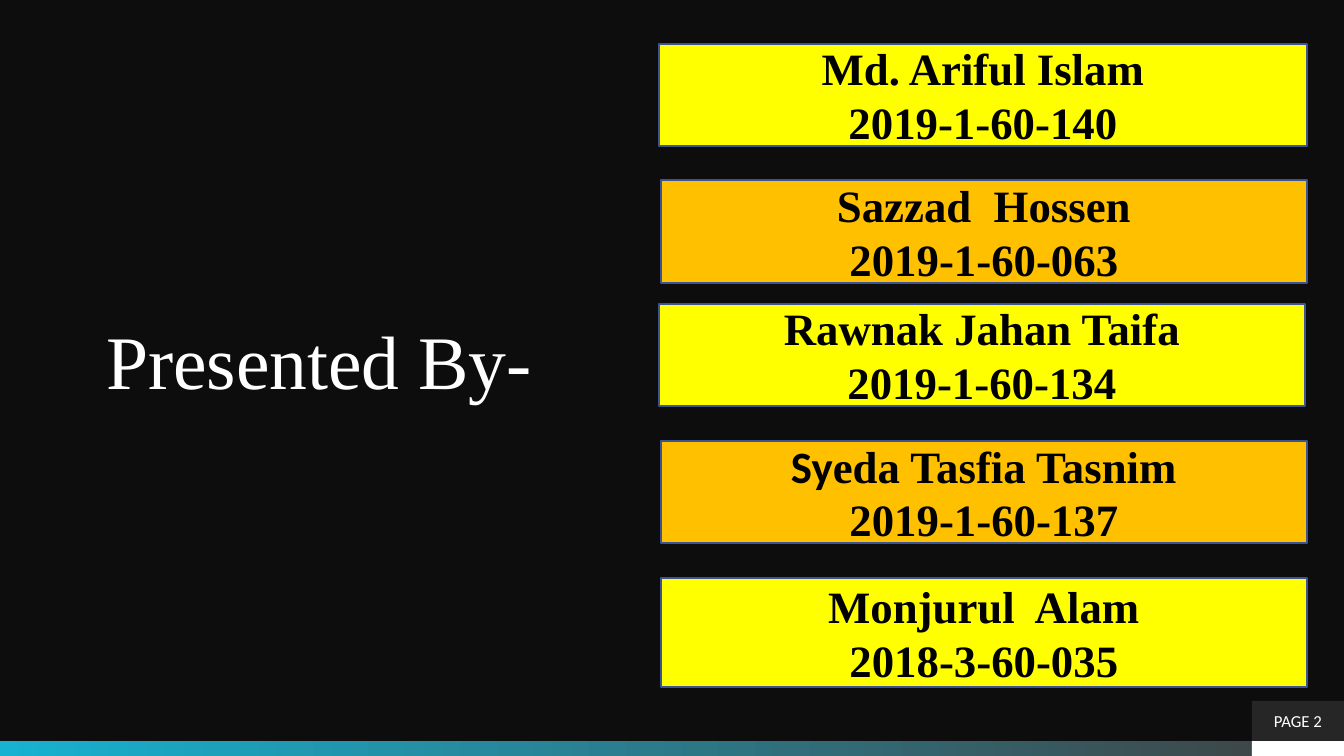
import pptx
import pptx.util
import pptx.dml.color
import pptx.enum.shapes
import pptx.enum.text

PX = 914400 / 100.8
SERIF, SANS = "Times New Roman", "Calibri"
HUES = {
    "back": "0D0D0D", "cyan": "17B2D1", "gray": "404040", "dark": "262626",
    "white": "FFFFFF", "black": "000000", "edge": "3D5392",
    "yellow": "FFFF00", "orange": "FFC000",
}
ALIGN = pptx.enum.text.PP_ALIGN
ANCHOR = pptx.enum.text.MSO_ANCHOR


def emu(px):
    return pptx.util.Emu(round(px * PX))


def hue(name):
    return pptx.dml.color.RGBColor.from_string(HUES[name])


class Deck:
    """Holds the presentation, its style and the current slide."""

    def __init__(self):
        self.prs = pptx.Presentation()
        self.prs.slide_width, self.prs.slide_height = emu(1344), emu(756)
        self.slide = self.prs.slides.add_slide(self.prs.slide_layouts[5])
        fill = self.slide.background.fill
        fill.solid()
        fill.fore_color.rgb = hue("back")

    def put_text(self, frame, lines, size, color, align, bold=False):
        """Fill a frame; each line is a list of (text, font) pairs."""
        frame.word_wrap = True
        frame.text = "\n".join(line[0][0] for line in lines)
        for para, line in zip(frame.paragraphs, lines):
            para.alignment = align
            for text, _ in line[1:]:
                para.add_run().text = text
            for run, (_, face) in zip(para.runs, line):
                run.font.name, run.font.bold = face, bold
                run.font.size = pptx.util.Pt(size)
                run.font.color.rgb = hue(color)

    def rect(self, box, color, edge=None):
        kind = pptx.enum.shapes.MSO_SHAPE.RECTANGLE
        shape = self.slide.shapes.add_shape(kind, *map(emu, box))
        shape.shadow.inherit = False
        shape.fill.solid()
        shape.fill.fore_color.rgb = hue(color)
        if edge:
            shape.line.color.rgb = hue(edge)
            shape.line.width = pptx.util.Pt(1)
        else:
            shape.line.fill.background()
        return shape

    def fade(self, box, start, end):
        """Add a bar whose colour runs from left to right."""
        fill = self.rect(box, start).fill
        fill.gradient()
        fill.gradient_angle = 0
        for stop, color, place in zip(fill.gradient_stops, (start, end), (0, 1)):
            stop.color.rgb = hue(color)
            stop.position = place

    def label(self, box, color, lines, size, ink, edge=None, bold=False):
        frame = self.rect(box, color, edge).text_frame
        frame.vertical_anchor = ANCHOR.MIDDLE
        self.put_text(frame, lines, size, ink, ALIGN.CENTER, bold)

    def title(self, box, text):
        shape = self.slide.shapes.title
        shape.left, shape.top, shape.width, shape.height = map(emu, box)
        frame = shape.text_frame
        frame.auto_size = pptx.enum.text.MSO_AUTO_SIZE.NONE
        frame.vertical_anchor = ANCHOR.TOP
        self.put_text(frame, [[(text, SERIF)]], 54, "white", ALIGN.LEFT)
        para = frame.paragraphs[0]
        para.line_spacing = 1.07
        para.space_after = pptx.util.Pt(8)


def main():
    deck = Deck()
    deck.fade((0, 741, 1344, 15), "cyan", "gray")
    deck.rect((1252, 741, 92, 15), "white")
    deck.label((1252, 701, 92, 40), "dark", [[("PAGE 2", SANS)]], 12, "white")

    people = [
        ((659, 44, 648, 102), [("Md. Ariful Islam", SERIF)], "2019-1-60-140"),
        ((661, 180, 646, 103), [("Sazzad  Hossen", SERIF)], "2019-1-60-063"),
        ((659, 304, 646, 102), [("Rawnak Jahan Taifa", SERIF)], "2019-1-60-134"),
        ((661, 441, 646, 102), [("Sy", SANS), ("eda Tasfia Tasnim", SERIF)],
         "2019-1-60-137"),
        ((661, 578, 646, 109), [("Monjurul  Alam", SERIF)], "2018-3-60-035"),
    ]
    for i, (box, name, code) in enumerate(people):
        color = ("yellow", "orange")[i % 2]
        lines = [name, [(code, SERIF)]]
        deck.label(box, color, lines, 32, "black", "edge", True)

    deck.title((96, 303, 529, 104), "Presented By-")
    deck.prs.save("out.pptx")


if __name__ == "__main__":
    main()
